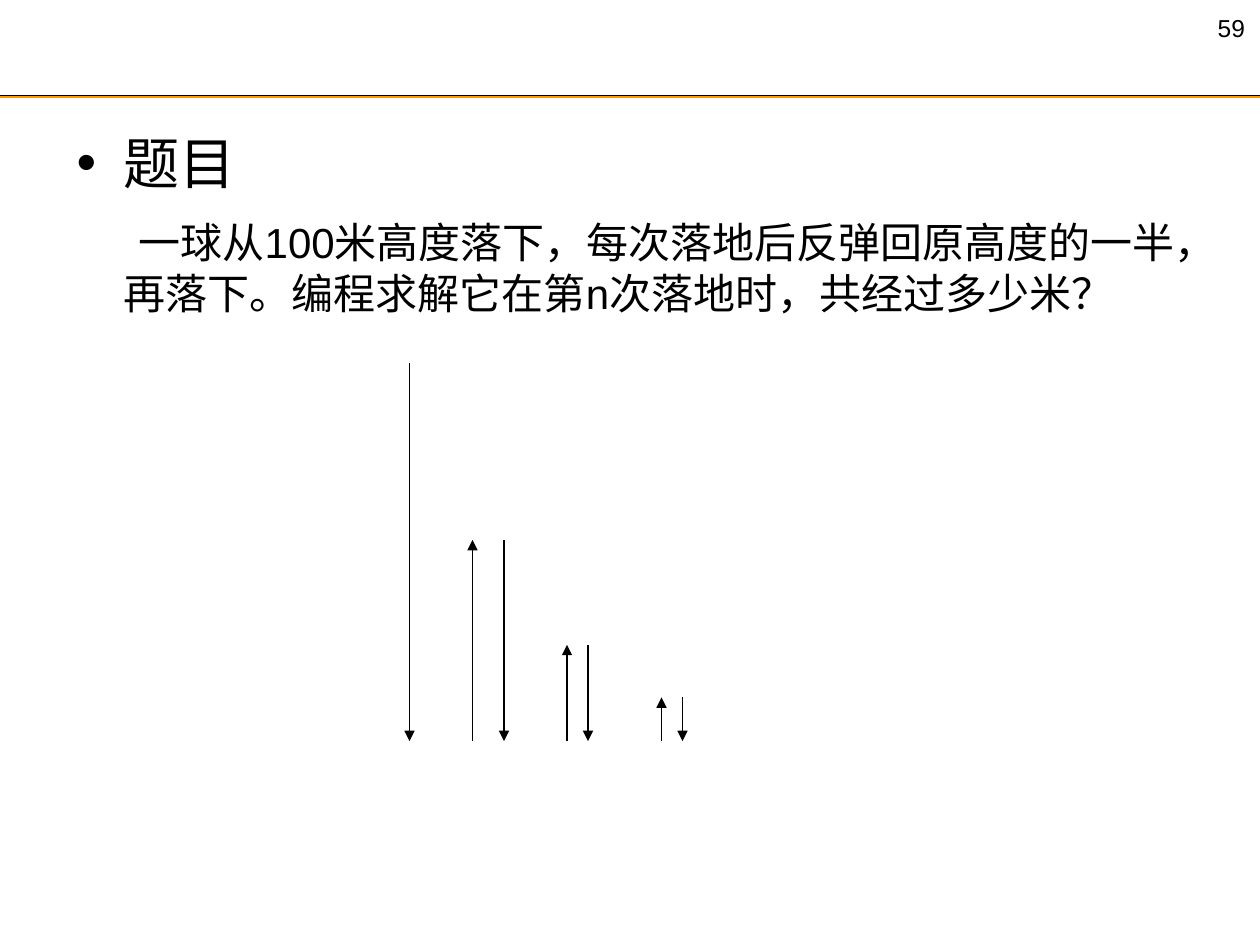
from dataclasses import dataclass

from lxml import etree
from pptx import Presentation
from pptx.dml.color import RGBColor
from pptx.enum.shapes import MSO_CONNECTOR
from pptx.enum.text import MSO_AUTO_SIZE
from pptx.oxml.ns import qn
from pptx.util import Pt

STRAIGHT = MSO_CONNECTOR.STRAIGHT
NO_FIT = MSO_AUTO_SIZE.NONE


def rgb(value):
    return RGBColor.from_string(value)


def add_text(p, text, size=24, font="Arial", color="000000",
             before=0, margin=0, indent=0, bullet=None):
    p.space_before = Pt(before)
    pPr = p._p.get_or_add_pPr()
    pPr.set("marL", str(Pt(margin)))
    pPr.set("indent", str(Pt(indent)))
    if bullet:
        etree.SubElement(pPr, qn("a:buFont")).set("typeface", font)
        etree.SubElement(pPr, qn("a:buChar")).set("char", bullet)
    else:
        etree.SubElement(pPr, qn("a:buNone"))
    r = p.add_run()
    r.text = text
    r.font.size = Pt(size)
    r.font.name = font
    r.font.color.rgb = rgb(color)


@dataclass
class Board:
    s: object
    ink: str = "000000"

    def text_box(self, x, y, w, h, paragraphs, wrap=True):
        sp = self.s.shapes.add_textbox(Pt(x), Pt(y), Pt(w), Pt(h))
        tf = sp.text_frame
        tf.word_wrap = wrap
        tf.auto_size = NO_FIT
        for i, (text, style) in enumerate(paragraphs):
            p = tf.add_paragraph() if i else tf.paragraphs[0]
            add_text(p, text, color=self.ink, **style)

    def line(self, x1, y1, x2, y2, color=None, width=1, arrow=False):
        sp = self.s.shapes.add_connector(STRAIGHT, Pt(x1), Pt(y1), Pt(x2), Pt(y2))
        sp.line.color.rgb = rgb(color or self.ink)
        sp.line.width = Pt(width)
        if arrow:
            ln = sp.line._get_or_add_ln()
            etree.SubElement(ln, qn("a:tailEnd")).set("type", "triangle")
        etree.SubElement(sp._element.spPr, qn("a:effectLst"))


prs = Presentation()
prs.slide_width, prs.slide_height = Pt(720), Pt(540)
board = Board(prs.slides.add_slide(prs.slide_layouts[6]))

board.text_box(688.8, 3.8, 31.7, 24, [("59", dict(size=14))], wrap=False)
board.line(0, 54.7, 720, 54.7, width=0.75)
board.line(0, 55.5, 720, 55.5, color="FF9900", width=0.75)

board.text_box(36.7, 70, 648, 356, [
    ("题目", dict(size=32, before=6.4, margin=27, indent=-27, bullet="•")),
    ("一球从100米高度落下，每次落地后反弹回原高度的一半，再落下。"
     "编程求解它在第n次落地时，共经过多少米？",
     dict(before=12, margin=27, indent=8.5)),
])

GROUND = 423.5
board.line(234, 207.5, 234, GROUND, arrow=True)
for rise_x, fall_x, top in [(270, 288, 308.5), (324, 336, 368.5), (378, 390, 398.5)]:
    board.line(rise_x, GROUND, rise_x, top, arrow=True)
    board.line(fall_x, top, fall_x, GROUND, arrow=True)

prs.save("out.pptx")
